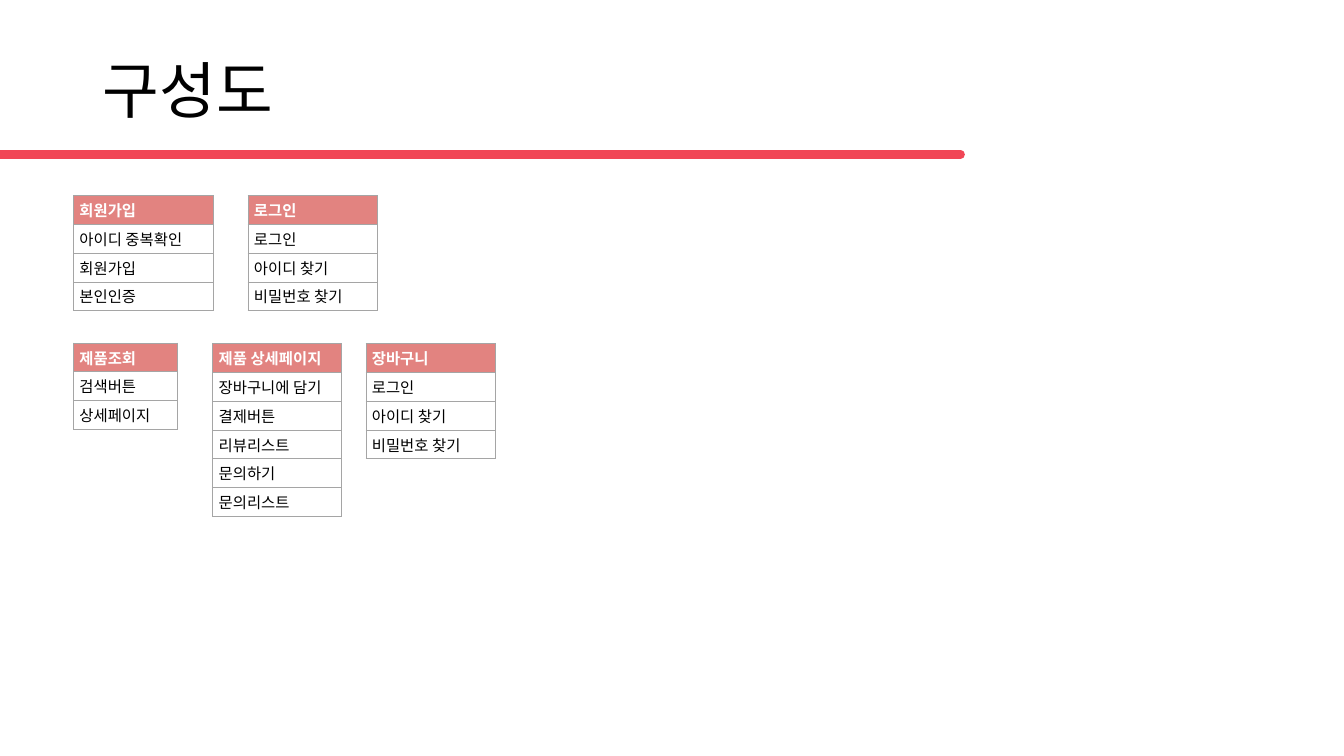
"""Build the site structure slide with one small table per page."""

from dataclasses import dataclass

from lxml import etree
from pptx import Presentation
from pptx import util as u
from pptx.dml.color import RGBColor
from pptx.enum import shapes, text
from pptx.oxml import ns

FONT = "Noto Sans CJK KR"
BLACK = RGBColor(0x00, 0x00, 0x00)
WHITE = RGBColor(0xFF, 0xFF, 0xFF)
RED = RGBColor(0xF1, 0x46, 0x56)
SALMON = RGBColor(0xE2, 0x83, 0x80)
GREY = RGBColor(0xA5, 0xA5, 0xA5)
ROW_HEIGHT = u.Cm(0.63)


@dataclass(frozen=True)
class PageTable:
    """A page of the site and its functions, placed in centimetres."""

    left: float
    top: float
    width: float
    heading: str
    functions: tuple[str, ...]


PAGES = (
    PageTable(1.85, 4.93, 3.53, "회원가입", ("아이디 중복확인", "회원가입", "본인인증")),
    PageTable(6.25, 4.93, 3.25, "로그인", ("로그인", "아이디 찾기", "비밀번호 찾기")),
    PageTable(1.85, 8.64, 2.62, "제품조회", ("검색버튼", "상세페이지")),
    PageTable(5.36, 8.66, 3.25, "제품 상세페이지",
              ("장바구니에 담기", "결제버튼", "리뷰리스트", "문의하기", "문의리스트")),
    PageTable(9.22, 8.66, 3.25, "장바구니", ("로그인", "아이디 찾기", "비밀번호 찾기")),
)


def write_text(frame, content: str, *, size: float, color: RGBColor = BLACK,
               bold: bool = False, line_spacing: float = 1.0) -> None:
    """Write one left-aligned paragraph into a text frame."""
    paragraph = frame.paragraphs[0]
    paragraph.alignment = text.PP_ALIGN.LEFT
    paragraph.line_spacing = line_spacing
    run = paragraph.add_run()
    run.text = content
    run.font.size = u.Pt(size)
    run.font.bold = bold
    run.font.color.rgb = color
    run.font.name = FONT
    properties = run.font._element
    etree.SubElement(properties, ns.qn("a:ea"), typeface=FONT)


def add_borders(cell) -> None:
    """Draw a thin grey line on each side of a cell."""
    properties = cell._tc.get_or_add_tcPr()
    for side in ("lnL", "lnR", "lnT", "lnB"):
        line = etree.SubElement(properties, ns.qn(f"a:{side}"), w=str(u.Pt(0.5)))
        fill = etree.SubElement(line, ns.qn("a:solidFill"))
        etree.SubElement(fill, ns.qn("a:srgbClr"), val=str(GREY))


def add_page_table(slide, page: PageTable) -> None:
    """Add a one-column table with a coloured heading row."""
    labels = (page.heading, *page.functions)
    table = slide.shapes.add_table(
        len(labels), 1, u.Cm(page.left), u.Cm(page.top),
        u.Cm(page.width), ROW_HEIGHT * len(labels)).table
    table.horz_banding = False
    for index, label in enumerate(labels):
        is_heading = index == 0
        cell = table.cell(index, 0)
        cell.margin_left = cell.margin_right = u.Cm(0.15)
        cell.margin_top = cell.margin_bottom = u.Cm(0.08)
        add_borders(cell)
        if is_heading:
            cell.fill.solid()
            cell.fill.fore_color.rgb = SALMON
        else:
            cell.fill.background()
        write_text(cell.text_frame, label, size=11, bold=is_heading,
                   color=WHITE if is_heading else BLACK)


def add_title(slide, content: str) -> None:
    """Place and write the slide title."""
    title = slide.shapes.title
    title.left, title.top = u.Cm(2.34), u.Cm(1.02)
    title.width, title.height = u.Cm(29.21), u.Cm(2.69)
    title.text_frame.auto_size = text.MSO_AUTO_SIZE.NONE
    title.text_frame.vertical_anchor = text.MSO_ANCHOR.MIDDLE
    write_text(title.text_frame, content, size=44, line_spacing=0.9)


def add_title_rule(slide) -> None:
    """Draw the thick round-ended line under the title."""
    rule = slide.shapes.add_connector(
        shapes.MSO_CONNECTOR.STRAIGHT, 0, u.Cm(3.89), u.Cm(24.21), u.Cm(3.89))
    rule.line.color.rgb = RED
    rule.line.width = u.Pt(6)
    properties = rule._element.spPr
    properties.find(ns.qn("a:ln")).set("cap", "rnd")
    etree.SubElement(properties, ns.qn("a:effectLst"))


def main() -> None:
    """Build and save the presentation."""
    presentation = Presentation()
    presentation.slide_width = u.Cm(33.87)
    presentation.slide_height = u.Cm(19.05)
    slide = presentation.slides.add_slide(presentation.slide_layouts[5])
    add_title_rule(slide)
    add_title(slide, "구성도")
    for page in PAGES:
        add_page_table(slide, page)
    presentation.save("out.pptx")


if __name__ == "__main__":
    main()
